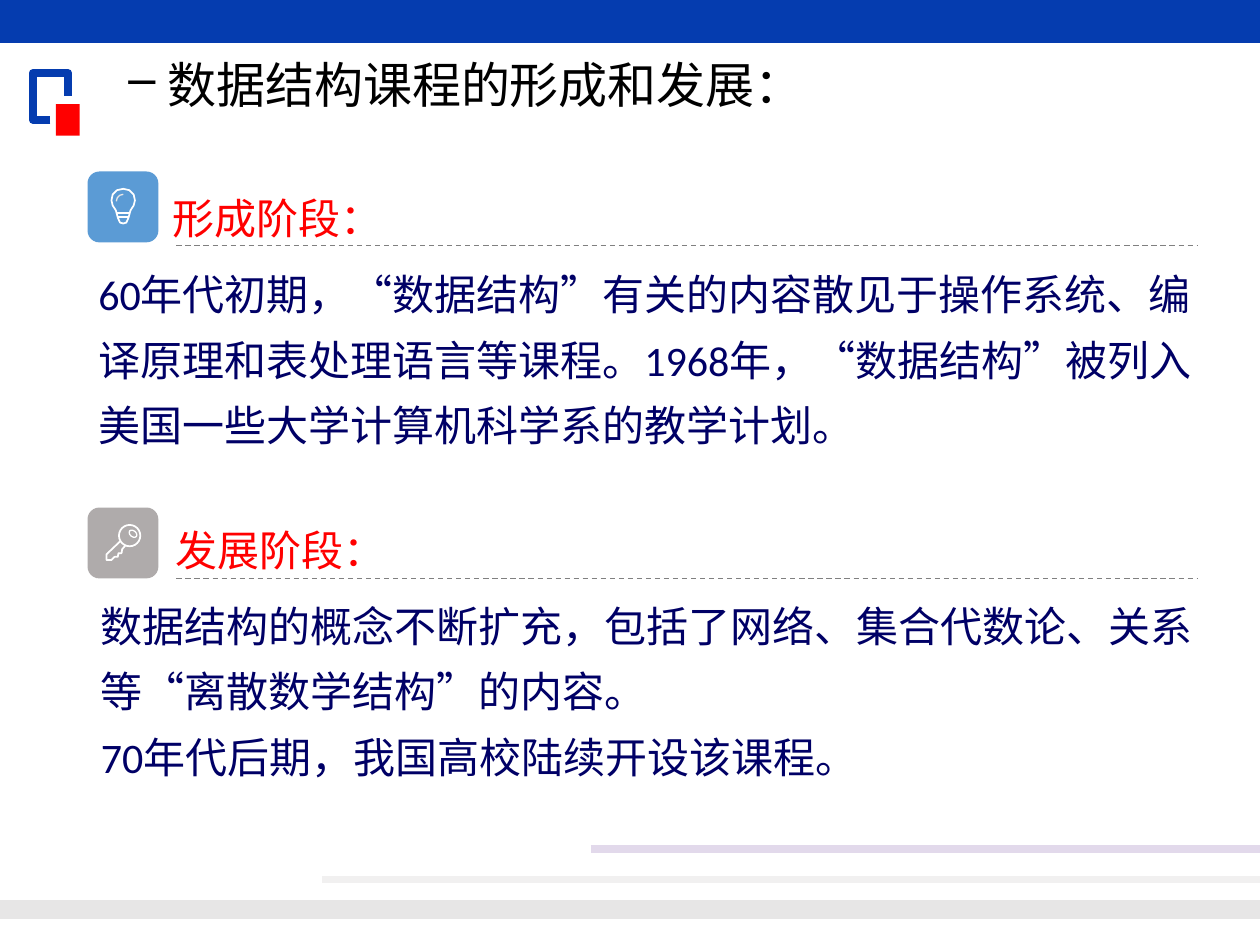
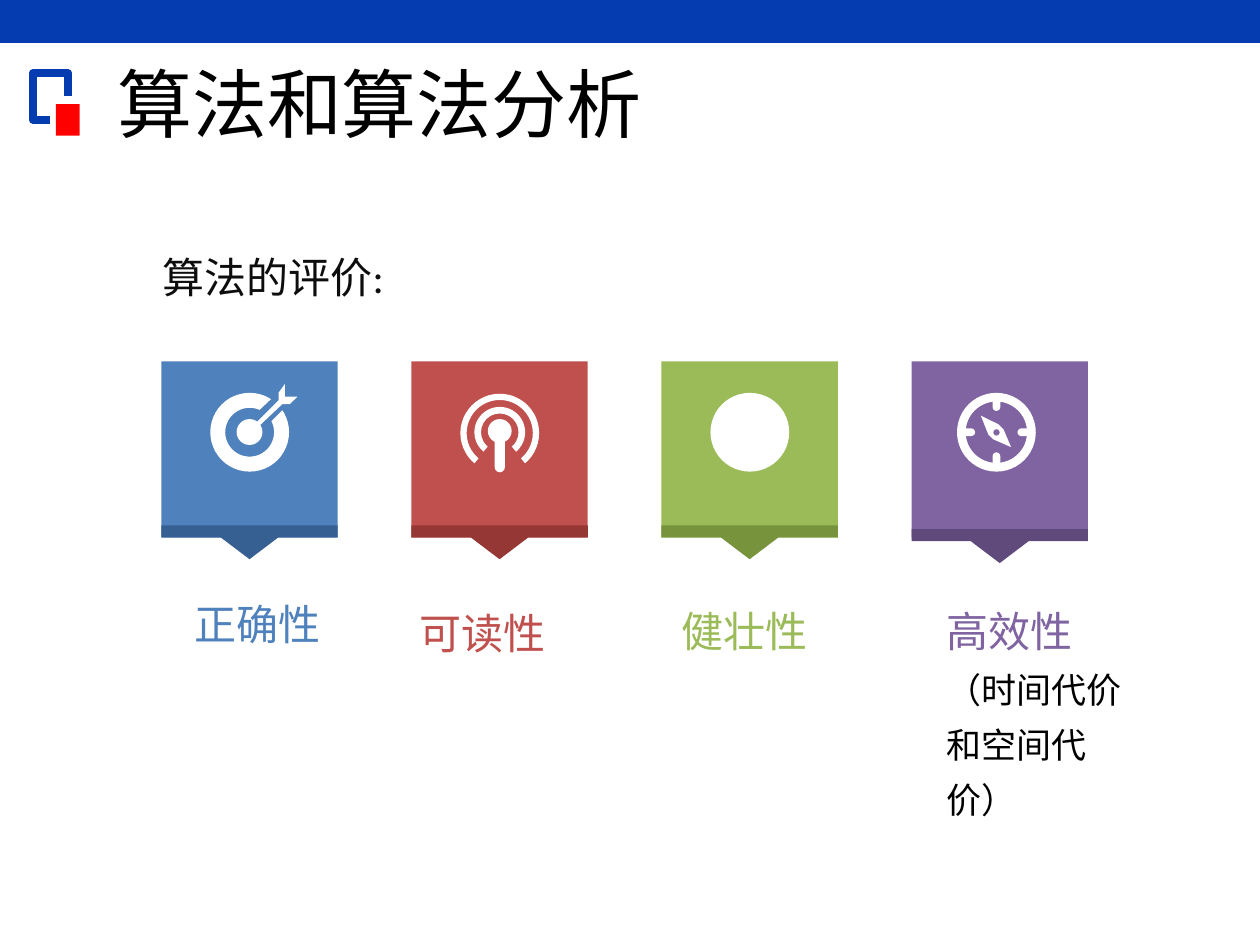
from lxml import etree
from pptx import Presentation
from pptx.dml.color import RGBColor
from pptx.enum.dml import MSO_LINE
from pptx.enum.shapes import MSO_CONNECTOR, MSO_SHAPE
from pptx.enum.text import MSO_ANCHOR, MSO_AUTO_SIZE, PP_ALIGN
from pptx.oxml.ns import qn
from pptx.util import Pt

RECT, ROUND, OVAL = MSO_SHAPE.RECTANGLE, MSO_SHAPE.ROUNDED_RECTANGLE, MSO_SHAPE.OVAL
DONUT, BLOCK_ARC, ARC = MSO_SHAPE.DONUT, MSO_SHAPE.BLOCK_ARC, MSO_SHAPE.ARC
STRAIGHT, DASH, SOLID = MSO_CONNECTOR.STRAIGHT, MSO_LINE.DASH, MSO_LINE.SOLID
TOP, MIDDLE = MSO_ANCHOR.TOP, MSO_ANCHOR.MIDDLE
LEFT, NO_FIT = PP_ALIGN.LEFT, MSO_AUTO_SIZE.NONE

WHITE = RGBColor(0xFF, 0xFF, 0xFF)
BLACK = RGBColor(0x00, 0x00, 0x00)
INK = RGBColor(0x0D, 0x0D, 0x0D)
NAVY = RGBColor(0x00, 0x00, 0x66)
RED = RGBColor(0xFF, 0x00, 0x00)
BAND_BLUE = RGBColor(0x05, 0x3C, 0xAF)
SKY = RGBColor(0x5B, 0x9B, 0xD5)
STONE = RGBColor(0xAF, 0xAB, 0xAB)
GREY = RGBColor(0x80, 0x80, 0x80)
LIGHT_GREY = RGBColor(0xE7, 0xE6, 0xE6)
PALE_GREY = RGBColor(0xF1, 0xF0, 0xF0)
LILAC = RGBColor(0xE2, 0xD9, 0xEB)
BLUE, DARK_BLUE = RGBColor(0x4F, 0x81, 0xBD), RGBColor(0x37, 0x60, 0x92)
BRICK, DARK_BRICK = RGBColor(0xC0, 0x50, 0x4D), RGBColor(0x95, 0x37, 0x35)
GREEN, DARK_GREEN = RGBColor(0x9B, 0xBB, 0x59), RGBColor(0x77, 0x93, 0x3C)
PURPLE, DARK_PURPLE = RGBColor(0x80, 0x64, 0xA2), RGBColor(0x60, 0x4A, 0x7B)
CJK_FONT = "Noto Sans CJK SC"


def write(sp, text, first=True, box=None, size=24, color=BLACK, font="Calibri", spacing=1.3,
          after=0, margin=0, indent=0, bullet=None, anchor=TOP):
    """Write one paragraph into sp; the first one also sets up the frame."""
    tf = sp.text_frame
    if box:
        sp.left, sp.top, sp.width, sp.height = map(Pt, box)
    if first:
        tf.word_wrap, tf.auto_size, tf.vertical_anchor = True, NO_FIT, anchor
    p = tf.paragraphs[0] if first else tf.add_paragraph()
    p.alignment, p.line_spacing = LEFT, spacing
    p.space_before, p.space_after = Pt(0), Pt(after)
    pPr = p._p.get_or_add_pPr()
    pPr.set("marL", str(Pt(margin)))
    pPr.set("indent", str(Pt(indent)))
    if bullet:
        etree.SubElement(pPr, qn("a:buChar"), char=bullet)
    else:
        etree.SubElement(pPr, qn("a:buNone"))
    r = p.add_run()
    r.text = text
    r.font.size, r.font.name, r.font.bold = Pt(size), font, False
    r.font.color.rgb = color
    rPr = r._r.get_or_add_rPr()
    rPr.set("lang", "zh-CN")
    etree.SubElement(rPr, qn("a:ea"), typeface=CJK_FONT)


def draw(slide, outline, box=None, fill=None, line=None, width=1, adj=(), rotation=0, origin=(0, 0)):
    """Draw a preset in a box, or a list of points as a freeform (closed when filled)."""
    dx, dy = origin
    if isinstance(outline, list):
        pts = [(Pt(x + dx), Pt(y + dy)) for x, y in outline]
        builder = slide.shapes.build_freeform(*pts[0], scale=1.0)
        builder.add_line_segments(pts[1:], close=fill is not None)
        sp = builder.convert_to_shape()
    else:
        x, y, w, h = box
        sp = slide.shapes.add_shape(outline, Pt(x + dx), Pt(y + dy), Pt(w), Pt(h))
        for i, value in enumerate(adj):
            sp.adjustments[i] = value
    sp.rotation = rotation
    sp.shadow.inherit = False
    if fill is None:
        sp.fill.background()
    else:
        sp.fill.solid()
        sp.fill.fore_color.rgb = fill
    if line is None:
        sp.line.fill.background()
    else:
        sp.line.color.rgb = line
        sp.line.width = Pt(width)


prs = Presentation()
prs.slide_width, prs.slide_height = Pt(720), Pt(540)
history = prs.slides.add_slide(prs.slide_layouts[3])
analysis = prs.slides.add_slide(prs.slide_layouts[1])

# Shared band and corner mark
for slide in (history, analysis):
    draw(slide, RECT, (0, 0, 720, 24.5), BAND_BLUE)
    draw(slide, [(28.8, 68.4), (18.7, 68.4), (18.7, 41.8), (38.9, 41.8), (38.9, 54.7)],
         line=BAND_BLUE, width=4.5)
    draw(slide, RECT, (32, 59.5, 13.5, 18), RED)

# Slide 1: stages of the course
title, forming, growing = history.placeholders
write(title, "数据结构课程的形成和发展：", box=(30.2, 28, 443, 39.6), size=28,
      font="Times New Roman", spacing=1, margin=58.3, indent=-22.3, bullet="–", anchor=MIDDLE)
stages = [
    (forming, (21.6, 98, 677, 181), "形成阶段：",
     ["60年代初期，“数据结构”有关的内容散见于操作系统、编译原理和表处理语言等课程。"
      "1968年，“数据结构”被列入美国一些大学计算机科学系的教学计划。"]),
    (growing, (23, 287.3, 674.6, 153.4), "发展阶段：",
     ["数据结构的概念不断扩充，包括了网络、集合代数论、关系等“离散数学结构”的内容。",
      "70年代后期，我国高校陆续开设该课程。"]),
]
for sp, box, heading, lines in stages:
    write(sp, heading, box=box, color=RED, after=6, margin=70)
    for line in lines:
        write(sp, line, first=False, color=NAVY, margin=27.4)

for y, color in ((98, SKY), (290, STONE)):
    draw(history, ROUND, (50, y, 40.5, 40.5), color)

bulb_half = [(0, 107.9), (3.5, 108.7), (6, 111.2), (6.7, 114.5), (6, 117.4),
             (4.2, 120.2), (3, 124.5), (1.8, 127.2), (0, 127.7)]
bulb = bulb_half + [(-x, y) for x, y in reversed(bulb_half)]
draw(history, bulb, line=WHITE, origin=(70.4, 0))
draw(history, ARC, (66.5, 111, 8, 8), line=LIGHT_GREY, width=0.75, rotation=270)

draw(history, OVAL, (68, 300, 12.2, 12.2), line=WHITE)
draw(history, OVAL, (73.5, 303.3, 5, 3.4), line=WHITE, width=0.75, rotation=40)
key_shaft = [(68.8, 309.2), (60.8, 316.8), (60.8, 320), (63.7, 320), (65.5, 318.2),
             (67.3, 318.2), (67.7, 316.1), (69.5, 316.1), (69.8, 313.9), (71.6, 311.8)]
draw(history, key_shaft, line=WHITE)

rules = [
    (66.8, 74, 121.7, WHITE, 0.75, SOLID),
    (67.4, 73.4, 124, WHITE, 0.75, SOLID),
    (100.8, 684.7, 140.4, GREY, 0.75, DASH),
    (100.8, 684.7, 330.5, GREY, 0.75, DASH),
    (0, 720, 519.8, LIGHT_GREY, 11.25, SOLID),
    (184.3, 720, 502.6, PALE_GREY, 4.5, SOLID),
    (337.7, 720, 485.3, LILAC, 4.5, SOLID),
]
for x1, x2, y, color, width, dash in rules:
    rule = history.shapes.add_connector(STRAIGHT, Pt(x1), Pt(y), Pt(x2), Pt(y))
    rule.line.color.rgb, rule.line.width, rule.line.dash_style = color, Pt(width), dash
    etree.SubElement(rule._element.spPr, qn("a:effectLst"))

# Slide 2: criteria for an algorithm
title, lead = analysis.placeholders
write(title, "算法和算法分析", box=(59.8, 34.6, 618.5, 54), size=42.9,
      font=CJK_FONT, spacing=0.9, anchor=MIDDLE)
write(lead, "算法的评价:", box=(85.7, 138.2, 225.4, 43.2), color=INK, spacing=0.9, anchor=MIDDLE)

TILE, TILE_LEFT, TILE_TOP, PITCH = 100.8, 92.2, 206.5, 142.9
pointer = [(0, 0), (TILE, 0), (TILE, 6.9), (66.9, 6.9), (50.4, 19.4), (33.9, 6.9), (0, 6.9)]
# Name, colours, pointer top, caption box
criteria = [
    ("正确性", BLUE, DARK_BLUE, 300.2, (104.2, 330, 105, 53)),
    ("可读性", BRICK, DARK_BRICK, 300.2, (232.6, 334.8, 103, 53)),
    ("健壮性", GREEN, DARK_GREEN, 300.2, (382.3, 334.1, 105, 53)),
    ("高效性", PURPLE, DARK_PURPLE, 302.4, (533.5, 334.1, 123.8, 121)),
]
# Icon parts, measured from the corner of their tile: outline, box, fill, adjustments
ring_gap = [(56, 28), (65, 19.5), (71, 26), (62.5, 34.5)]
arrow = [(54.7, 34.6), (67, 22.3), (67, 18), (70.6, 13), (70.6, 20.2),
         (77.8, 20.2), (73.4, 24.5), (69.1, 24.5), (56.2, 36.7)]
needle = [(39.6, 31), (49.7, 36), (52.6, 38.9), (56.9, 49), (46.8, 44.6), (43.9, 41.8)]
arc_from, arc_to = 130 * 0.6, 50 * 0.6
target_icon = [
    (DONUT, (28, 18, 45, 45), WHITE, [0.19]),
    (ring_gap, None, BLUE, []),
    (OVAL, (43, 33, 14.8, 14.8), WHITE, []),
    (arrow, None, WHITE, []),
]
signal_icon = [
    (BLOCK_ARC, (28, 18.5, 45, 45), WHITE, [arc_from, arc_to, 0.08]),
    (BLOCK_ARC, (36, 26, 29, 29), WHITE, [arc_from, arc_to, 0.13]),
    (OVAL, (43.7, 33, 13.6, 13.6), WHITE, []),
    (ROUND, (47.6, 39.6, 5.8, 23.8), WHITE, [0.5]),
]
disc_icon = [(OVAL, (28, 18, 45, 45), WHITE, [])]
compass_icon = [(DONUT, (26, 18, 45, 45), WHITE, [0.11])]
for tick in ((46.3, 20.5, 4.4, 7.8), (46.3, 52, 4.4, 7.8), (28.5, 38.3, 7.8, 4.4), (60.5, 38.3, 7.8, 4.4)):
    compass_icon.append((ROUND, tick, WHITE, [0.5]))
compass_icon += [(needle, None, WHITE, []), (OVAL, (46.7, 38.8, 3.6, 3.6), PURPLE, [])]
icons = [target_icon, signal_icon, disc_icon, compass_icon]

for i, (name, color, dark, pointer_top, caption_box) in enumerate(criteria):
    x = TILE_LEFT + i * PITCH
    draw(analysis, RECT, (x, TILE_TOP, TILE, TILE), color)
    draw(analysis, pointer, fill=dark, origin=(x, pointer_top))
    for outline, box, fill, adj in icons[i]:
        draw(analysis, outline, box, fill, adj=adj, origin=(x, TILE_TOP))
    caption = analysis.shapes.add_textbox(*map(Pt, caption_box))
    write(caption, name, color=color)
write(caption, "（时间代价和空间代价）", first=False, size=20)

prs.save("out.pptx")
